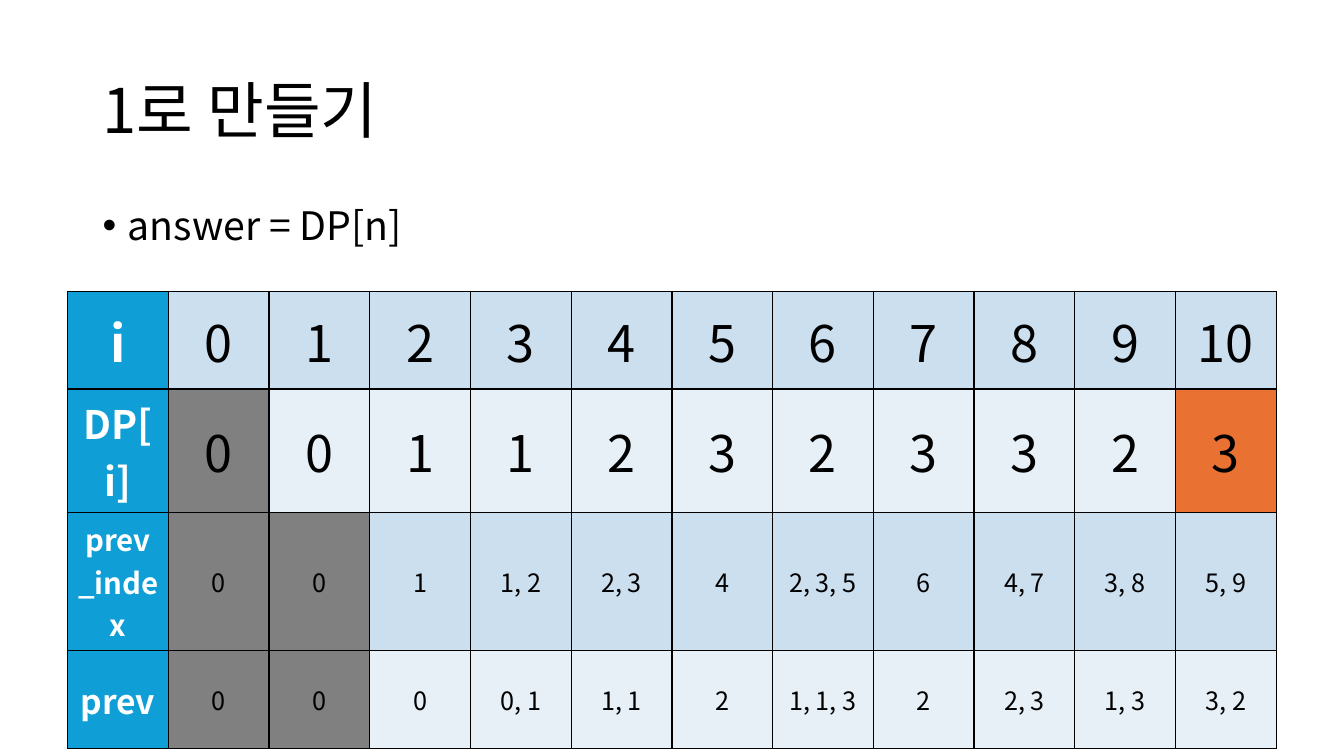
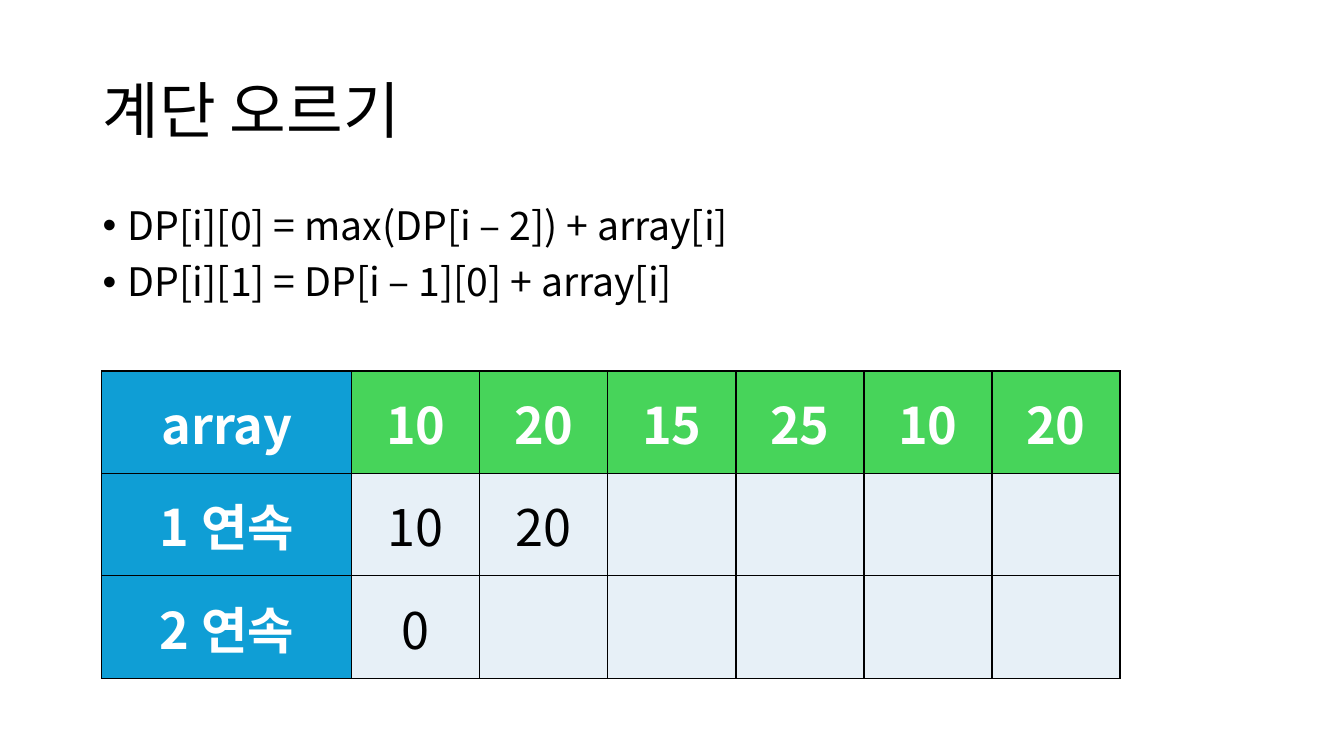
"""Build two slides of dynamic programming tables."""
from dataclasses import dataclass, field

from lxml import etree
from pptx import Presentation, util as u
from pptx.dml.color import RGBColor
from pptx.enum import text
from pptx.oxml import ns

FONT = "Noto Sans CJK KR"
BLACK, WHITE = "000000", "FFFFFF"
HEADER, GREEN, ORANGE, GREY = "0F9ED5", "47D45A", "E97132", "808080"
BAND, PALE = "CCDFEF", "E7F0F7"
STAIR_HEIGHT = 3.05 / 3


@dataclass
class Row:
    label: str
    values: list[str]
    fill: str
    height: float
    label_size: int = 36
    value_size: int = 36
    bold: bool = False
    marked: dict[int, str] = field(default_factory=dict)


@dataclass
class Topic:
    title: str
    bullets: list[str]
    bullets_height: float
    left: float
    top: float
    width: float
    label_width: float
    rows: list[Row]


TOPICS = [
    Topic("1로 만들기", ["answer = DP[n]"], 4.76, 0.67, 2.89, 11.99, 1, [
        Row("i", [str(i) for i in range(11)], BAND, 0.97),
        Row("DP[i]", list("00112323323"), PALE, 1.22, 28, marked={0: GREY, 10: ORANGE}),
        Row("prev_index", ["0", "0", "1", "1, 2", "2, 3", "4", "2, 3, 5", "6", "4, 7", "3, 8", "5, 9"],
            BAND, 1.37, 21, 18, marked={0: GREY, 1: GREY}),
        Row("prev", ["0", "0", "0", "0, 1", "1, 1", "2", "1, 1, 3", "2", "2, 3", "1, 3", "3, 2"],
            PALE, 0.97, 24, 18, marked={0: GREY, 1: GREY}),
    ]),
    Topic("계단 오르기",
          ["DP[i][0] = max(DP[i – 2]) + array[i]", "DP[i][1] = DP[i – 1][0] + array[i]"],
          1.28, 1.01, 3.68, 10.1, 2.48, [
              Row("array", ["10", "20", "15", "25", "10", "20"], GREEN, STAIR_HEIGHT, bold=True),
              Row("1 연속", ["10", "20", "", "", "", ""], PALE, STAIR_HEIGHT),
              Row("2 연속", ["0", "", "", "", "", ""], PALE, STAIR_HEIGHT),
          ]),
]


def rgb(value: str) -> RGBColor:
    return RGBColor.from_string(value)


def add_run(paragraph, words: str, size: int, color: str = BLACK, bold: bool = False) -> None:
    run = paragraph.add_run()
    run.text = words
    run.font.size = u.Pt(size)
    run.font.bold = bold
    run.font.color.rgb = rgb(color)
    run.font.name = FONT
    etree.SubElement(run.font._element, ns.qn("a:ea"), typeface=FONT)


def add_frame(slide, top: float, height: float, anchor):
    frame = slide.shapes.add_textbox(
        u.Inches(0.92), u.Inches(top), u.Inches(11.5), u.Inches(height)).text_frame
    frame.word_wrap = True
    frame.auto_size = text.MSO_AUTO_SIZE.TEXT_TO_FIT_SHAPE
    frame.vertical_anchor = anchor
    return frame


def add_title(slide, words: str) -> None:
    paragraph = add_frame(slide, 0.4, 1.45, text.MSO_ANCHOR.MIDDLE).paragraphs[0]
    paragraph.line_spacing = 0.9
    add_run(paragraph, words, 44)


def add_bullets(slide, lines: list[str], height: float) -> None:
    frame = add_frame(slide, 2, height, text.MSO_ANCHOR.TOP)
    for index, line in enumerate(lines):
        paragraph = frame.add_paragraph() if index else frame.paragraphs[0]
        paragraph.line_spacing = 0.9
        paragraph.space_before = u.Pt(10)
        properties = paragraph._p.get_or_add_pPr()
        properties.set("marL", str(u.Inches(0.25)))
        properties.set("indent", str(u.Inches(-0.25)))
        etree.SubElement(properties, ns.qn("a:buFont"), typeface="Arial")
        etree.SubElement(properties, ns.qn("a:buChar"), char="•")
        add_run(paragraph, line, 28)


def add_borders(cell) -> None:
    properties = cell._tc.get_or_add_tcPr()
    for side in ("lnL", "lnR", "lnT", "lnB"):
        border = etree.SubElement(properties, ns.qn(f"a:{side}"), w=str(u.Pt(1)))
        solid = etree.SubElement(border, ns.qn("a:solidFill"))
        etree.SubElement(solid, ns.qn("a:srgbClr"), val=BLACK)


def fill_cell(cell, words: str, fill: str, size: int, color: str, bold: bool) -> None:
    add_borders(cell)
    cell.fill.solid()
    cell.fill.fore_color.rgb = rgb(fill)
    cell.vertical_anchor = text.MSO_ANCHOR.MIDDLE
    paragraph = cell.text_frame.paragraphs[0]
    paragraph.alignment = text.PP_ALIGN.CENTER
    if words:
        add_run(paragraph, words, size, color, bold)


def add_grid(slide, topic: Topic) -> None:
    value_count = len(topic.rows[0].values)
    value_width = (topic.width - topic.label_width) / value_count
    table = slide.shapes.add_table(
        len(topic.rows), value_count + 1, u.Inches(topic.left), u.Inches(topic.top),
        u.Inches(topic.width), u.Inches(sum(row.height for row in topic.rows))).table
    table.first_row = table.horz_banding = False
    for index, column in enumerate(table.columns):
        column.width = u.Inches(value_width if index else topic.label_width)
    for r, row in enumerate(topic.rows):
        table.rows[r].height = u.Inches(row.height)
        fill_cell(table.cell(r, 0), row.label, HEADER, row.label_size, WHITE, True)
        for c, value in enumerate(row.values):
            fill_cell(table.cell(r, c + 1), value, row.marked.get(c, row.fill),
                      row.value_size, WHITE if row.bold else BLACK, row.bold)


def main() -> None:
    deck = Presentation()
    deck.slide_width, deck.slide_height = u.Inches(13.33), u.Inches(7.5)
    for topic in TOPICS:
        slide = deck.slides.add_slide(deck.slide_layouts[6])
        add_title(slide, topic.title)
        add_bullets(slide, topic.bullets, topic.bullets_height)
        add_grid(slide, topic)
    deck.save("out.pptx")


if __name__ == "__main__":
    main()
